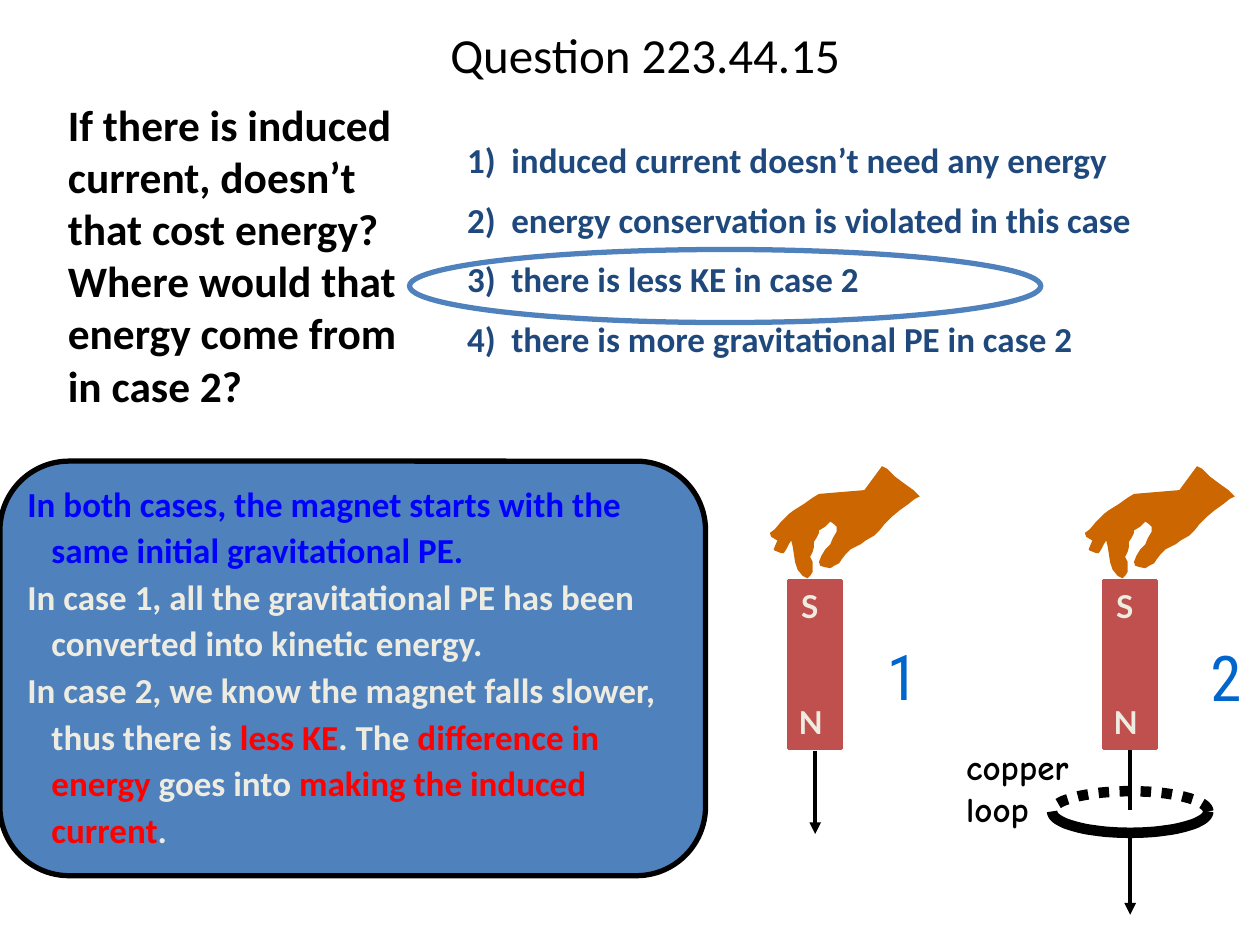
from dataclasses import dataclass
from math import cos, pi, sin
from typing import NamedTuple

from lxml.etree import SubElement
from pptx import Presentation
from pptx.dml.color import RGBColor
from pptx.enum.dml import MSO_LINE
from pptx.enum.shapes import MSO_CONNECTOR, MSO_SHAPE
from pptx.enum.text import MSO_ANCHOR, PP_ALIGN
from pptx.oxml.ns import qn
from pptx.util import Inches, Pt


@dataclass(frozen=True)
class Theme:
    black: str = "000000"
    navy: str = "1F497D"
    blue: str = "4F81BD"
    bright: str = "0000FF"
    cream: str = "EEECE1"
    red: str = "FF0000"
    magnet: str = "C0504D"
    skin: str = "CC6600"
    digit: str = "0066CC"
    digit_edge: str = "99CCFF"
    body: str = "Calibri"
    pole: str = "Lato"
    number: str = "Roboto Condensed"
    label: str = "Comic Neue"
    title_pt: float = 28
    question_pt: float = 24.8
    text_pt: float = 20
    pole_pt: float = 18
    number_pt: float = 36


class Box(NamedTuple):
    x: float
    y: float
    w: float
    h: float


class Style(NamedTuple):
    font: str
    size: float
    color: str
    bold: bool = True


class Case(NamedTuple):
    number: str
    center: float
    number_box: Box


T = Theme()
CREAM = Style(T.body, T.text_pt, T.cream)
RED = CREAM._replace(color=T.red)
BRIGHT = CREAM._replace(color=T.bright)
POLE = Style(T.pole, T.pole_pt, T.cream)
NUMBER = Style(T.number, T.number_pt, T.digit, False)
UNITS_PER_INCH = 1000

CHOICES = [
    "induced current doesn’t need any energy",
    "energy conservation is violated in this case",
    "there is less KE in case 2",
    "there is more gravitational PE in case 2",
]
ANSWER = [
    [("In both cases, the magnet starts with the same initial gravitational PE.", BRIGHT)],
    [("In case 1, all the gravitational PE has been converted into kinetic energy.", CREAM)],
    [
        ("In case 2, we know the magnet falls slower, thus there is ", CREAM),
        ("less KE", RED),
        (". The ", CREAM),
        ("difference in energy", RED),
        (" goes into ", CREAM),
        ("making the induced current", RED),
        (".", CREAM),
    ],
]
CASES = [
    Case("1", 6.47, Box(6.94, 5.01, 0.3, 0.62)),
    Case("2", 8.97, Box(9.46, 5.02, 0.54, 0.62)),
]
HAND = [
    (34, 82), (34, 76), (32, 72), (34, 68), (35, 64), (35, 60), (37, 57), (39, 53),
    (39, 51), (44, 48), (48, 44), (51, 46), (53, 48), (53, 52), (50, 57), (48, 62),
    (44, 66), (41, 71), (39, 76), (40, 79), (43, 80), (48, 81), (51, 79), (55, 77),
    (57, 74), (60, 70), (64, 66), (68, 64), (72, 62), (76, 59), (83, 55), (87, 51),
    (91, 46), (97, 40), (103, 35), (110, 30), (115, 26), (119, 24), (114, 19),
    (107, 14), (99, 8), (93, 2), (89, 0), (75, 19), (39, 22), (34, 25), (27, 30),
    (19, 35), (15, 38), (9, 44), (4, 50), (0, 53), (1, 56), (6, 59), (3, 66), (4, 67),
    (9, 69), (11, 69), (13, 66), (15, 62), (17, 59), (18, 63), (19, 69), (20, 76),
    (22, 82), (26, 87), (30, 89), (32, 87), (34, 84),
]


def rgb(color: str) -> RGBColor:
    return RGBColor.from_string(color)


def place(box: Box) -> list:
    return [Inches(v) for v in box]


def add_run(p, text: str, style: Style):
    r = p.add_run()
    r.text = text
    r.font.name, r.font.size, r.font.bold = style.font, Pt(style.size), style.bold
    r.font.color.rgb = rgb(style.color)
    return r


def add_text(s, box: Box, paras: list, wrap: bool = True, left: float = 0,
             hang: float = 0, before: float = 0, spacing: float = 1):
    tf = s.shapes.add_textbox(*place(box)).text_frame
    tf.word_wrap = wrap
    for i, runs in enumerate(paras):
        p = tf.paragraphs[0] if i == 0 else tf.add_paragraph()
        pPr = p._p.get_or_add_pPr()
        pPr.set("marL", str(Inches(left)))
        pPr.set("indent", str(-Inches(hang)))
        p.line_spacing = spacing
        p.space_before = Pt(before if i else 0)
        for text, style in runs:
            add_run(p, text, style)
    return tf


def paint(sp, fill: str = "", line: str = "", width: float = 0) -> None:
    sp.shadow.inherit = False
    if fill:
        sp.fill.solid()
        sp.fill.fore_color.rgb = rgb(fill)
    else:
        sp.fill.background()
    if line:
        sp.line.color.rgb = rgb(line)
        sp.line.width = Pt(width)
    else:
        sp.line.fill.background()


def add_outline(s, points: list, close: bool):
    units = [(round(x * UNITS_PER_INCH), round(y * UNITS_PER_INCH)) for x, y in points]
    builder = s.shapes.build_freeform(*units[0], scale=Inches(1) / UNITS_PER_INCH)
    builder.add_line_segments(units[1:], close=close)
    return builder.convert_to_shape()


def add_fall(s, x: float, top: float, bottom: float, arrow: bool = True) -> None:
    line = s.shapes.add_connector(
        MSO_CONNECTOR.STRAIGHT, Inches(x), Inches(top), Inches(x), Inches(bottom))
    line.line.color.rgb = rgb(T.black)
    line.line.width = Pt(2.25)
    if arrow:
        SubElement(line.line._get_or_add_ln(), qn("a:tailEnd"), type="triangle")
    SubElement(line._element.spPr, qn("a:effectLst"))


def add_half_loop(s, x: float, y: float, ry: float, dotted: bool) -> None:
    angles = [pi * i / 40 for i in range(41)]
    sp = add_outline(s, [(x + 0.62 * cos(a), y + ry * sin(a)) for a in angles], False)
    paint(sp, line=T.black, width=6)
    if dotted:
        sp.line.dash_style = MSO_LINE.ROUND_DOT


def add_case(s, case: Case) -> None:
    x = case.center
    magnet = s.shapes.add_shape(MSO_SHAPE.RECTANGLE, *place(Box(x - 0.21, 4.61, 0.42, 1.33)))
    paint(magnet, T.magnet, T.magnet, 1.5)
    add_text(s, Box(x - 0.23, 5.53, 0.46, 0.5), [[("N", POLE)]], wrap=False)
    add_text(s, Box(x - 0.21, 4.61, 0.41, 0.5), [[("S", POLE)]], wrap=False)
    hand = add_outline(s, [(x - 0.36 + dx / 100, 3.7 + dy / 100) for dx, dy in HAND], True)
    paint(hand, T.skin)
    tf = add_text(s, case.number_box, [[(case.number, NUMBER)]], wrap=False)
    p = tf.paragraphs[0]
    p.alignment = PP_ALIGN.CENTER
    rPr = p.runs[0]._r.get_or_add_rPr()
    ln = SubElement(rPr, qn("a:ln"), w=str(Pt(1.5)))
    SubElement(SubElement(ln, qn("a:solidFill")), qn("a:srgbClr"), val=T.digit_edge)
    rPr.insert(0, ln)


def main() -> None:
    prs = Presentation()
    prs.slide_width, prs.slide_height = Inches(10), Inches(7.5)
    s = prs.slides.add_slide(prs.slide_layouts[5])

    title = s.shapes.title
    title.left, title.top, title.width, title.height = place(Box(0.72, 0, 8.8, 0.92))
    title.text_frame.vertical_anchor = MSO_ANCHOR.MIDDLE
    p = title.text_frame.paragraphs[0]
    p.alignment, p.line_spacing = PP_ALIGN.CENTER, 0.9
    add_run(p, "Question 223.44.15", Style(T.body, T.title_pt, T.black, False))

    choice = Style(T.body, T.text_pt, T.navy)
    add_text(s, Box(3.61, 1.05, 6.39, 1.93),
             [[(f"{i})\t{text}", choice)] for i, text in enumerate(CHOICES, 1)],
             left=0.35, hang=0.35, before=10)
    question = ("If there is induced current, doesn’t that cost energy? "
                "Where would that energy come from in case 2?")
    add_text(s, Box(0, 0.73, 3.31, 2.62),
             [[(question, Style(T.body, T.question_pt, T.black))]], left=0.44)

    panel = s.shapes.add_shape(MSO_SHAPE.ROUNDED_RECTANGLE, *place(Box(0, 3.66, 5.6, 3.29)))
    paint(panel, T.blue, T.black, 3)
    add_text(s, Box(0, 3.74, 5.6, 3.05), ANSWER, left=0.31, hang=0.19, spacing=1.11)
    ring = s.shapes.add_shape(MSO_SHAPE.OVAL, *place(Box(3.25, 1.98, 5.01, 0.58)))
    paint(ring, line=T.blue, width=3)

    first, second = (case.center for case in CASES)
    add_half_loop(s, second, 6.44, -0.16, True)
    add_half_loop(s, second, 6.44, 0.17, False)
    for case in CASES:
        add_case(s, case)
    add_fall(s, first, 5.96, 6.62)
    add_fall(s, second, 5.95, 6.43, arrow=False)
    add_fall(s, second, 6.59, 7.26)
    label = Style(T.label, T.text_pt, T.black)
    add_text(s, Box(7.57, 5.87, 1.07, 0.77), [[("copper", label)], [("loop", label)]], wrap=False)

    prs.save("out.pptx")


if __name__ == "__main__":
    main()
